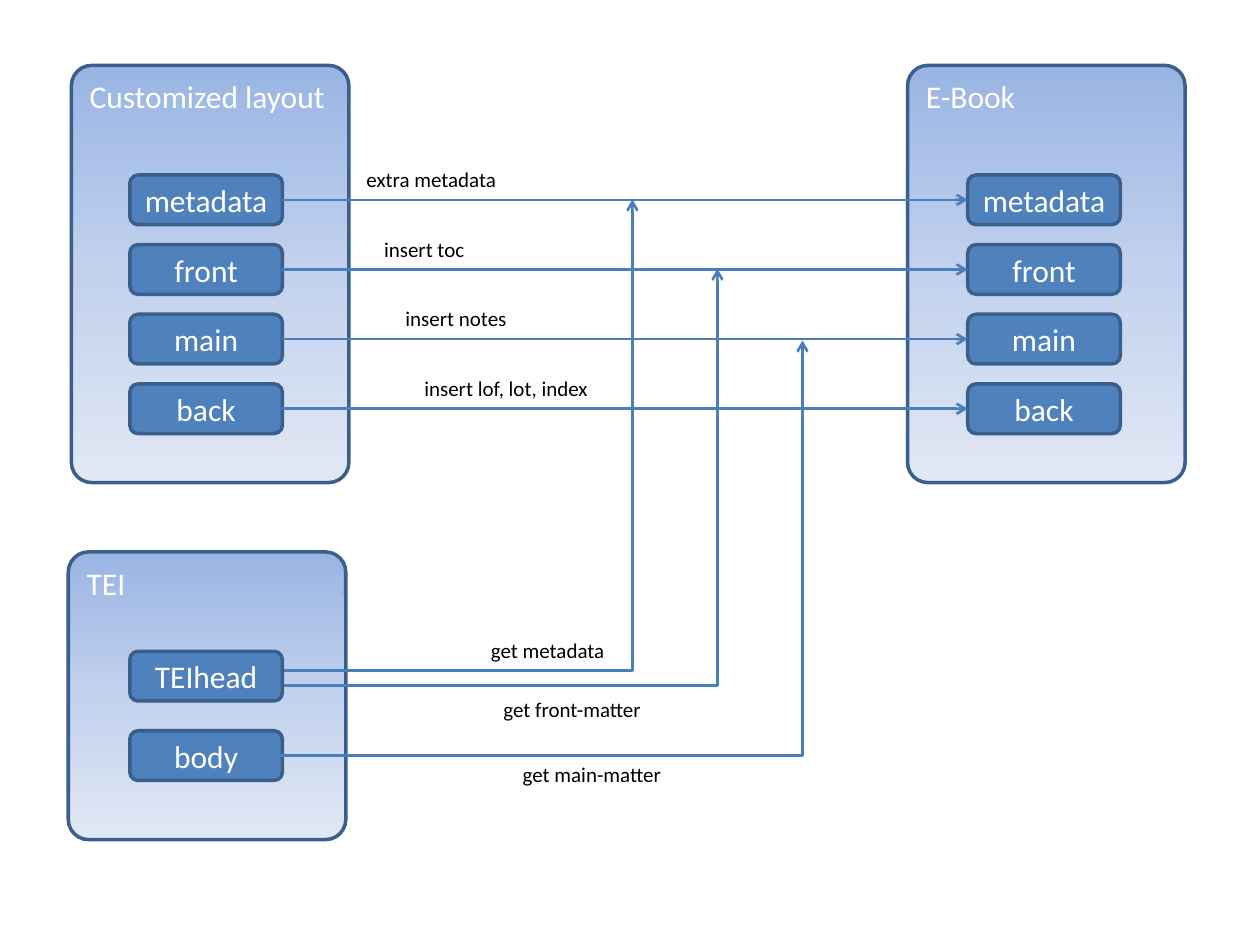
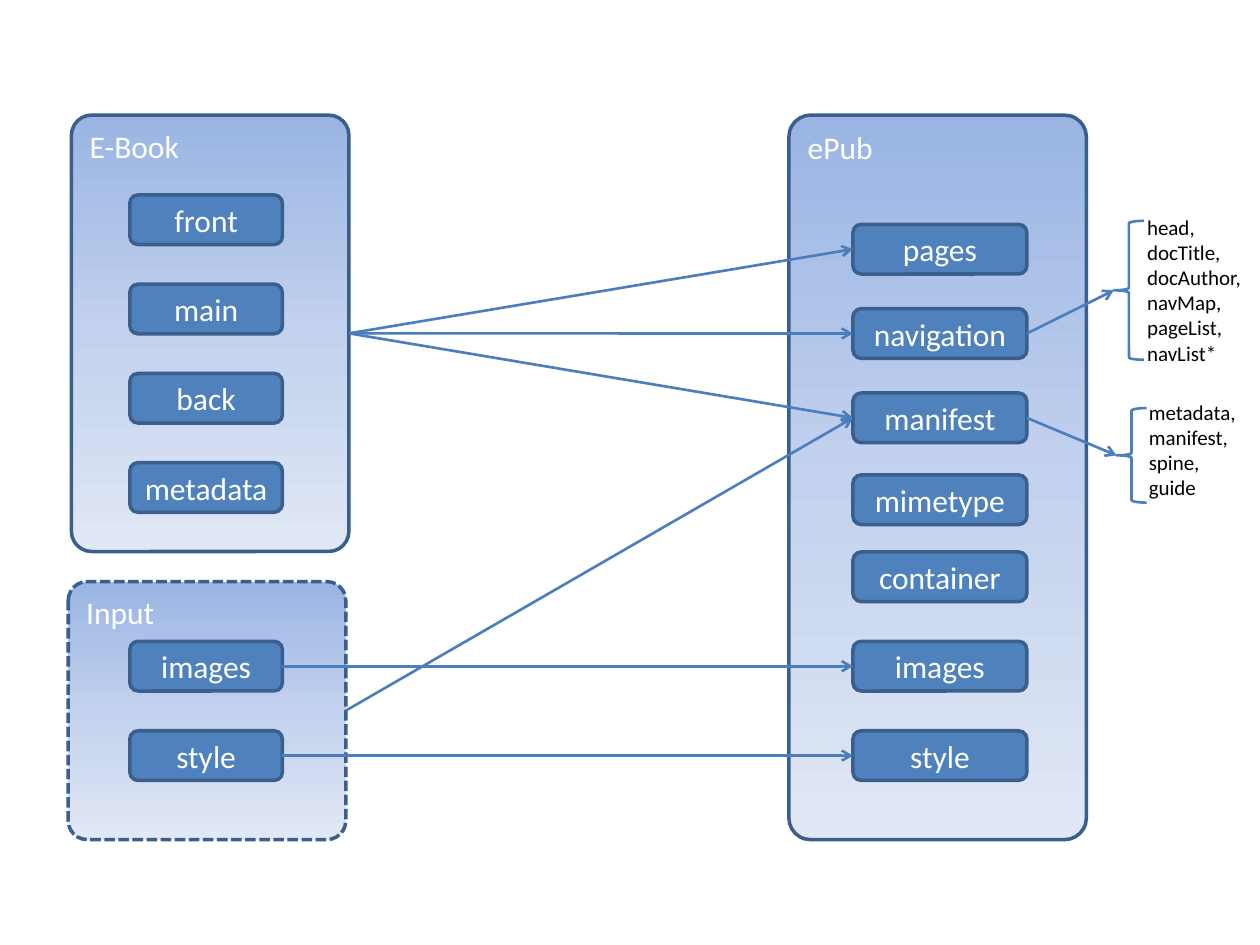
import copy

import pptx
import pptx.dml.color
import pptx.enum.dml
import pptx.enum.shapes
import pptx.enum.text
import pptx.oxml
import pptx.oxml.ns
import pptx.util

Pt = pptx.util.Pt
qn = pptx.oxml.ns.qn
SHAPE = pptx.enum.shapes.MSO_SHAPE
CONNECTOR = pptx.enum.shapes.MSO_CONNECTOR
ALIGN = pptx.enum.text.PP_ALIGN
ANCHOR = pptx.enum.text.MSO_ANCHOR

COLORS = {
    "box": "4F81BD", "border": "3A5F8C", "arrow": "4B7EBC",
    "white": "FFFFFF", "black": "000000",
}
PANEL_STOPS = [(0, "9AB5E4"), (0.5, "C2D1ED"), (1, "E1E8F5")]
LEFT, RIGHT = 1, 3  # connection sites of a rounded rectangle
BOX_H = 28.4
LEFT_BOX = (74.2, 87.2)  # left, width
EBOOK_BOX = (553, 87.2)
EPUB_BOX = (487.4, 99.4)


def rgb(value):
    return pptx.dml.color.RGBColor.from_string(value)


class Diagram:
    FONT = "Calibri"

    def __init__(self):
        self.prs = pptx.Presentation()
        self.prs.slide_width, self.prs.slide_height = Pt(720), Pt(540)

    def new_slide(self):
        self.shapes = self.prs.slides.add_slide(self.prs.slide_layouts[6]).shapes

    def stroke(self, line, color, width):
        line.color.rgb = rgb(COLORS[color])
        line.width = Pt(width)

    def set_text(self, sp, lines, size, color, align=ALIGN.LEFT, **frame):
        tf = sp.text_frame
        for name, value in frame.items():
            setattr(tf, name, value)
        tf.text = "\n".join(lines)
        for p in tf.paragraphs:
            p.alignment = align
            for r in p.runs:
                for name, value in {"name": self.FONT, "size": Pt(size)}.items():
                    setattr(r.font, name, value)
                r.font.color.rgb = rgb(COLORS[color])

    def shape(self, kind, x, y, w, h):
        sp = self.shapes.add_shape(kind, Pt(x), Pt(y), Pt(w), Pt(h))
        sp.shadow.inherit = False
        return sp

    def panel(self, title, x, y, w, h, dashed=False):
        sp = self.shape(SHAPE.ROUNDED_RECTANGLE, x, y, w, h)
        sp.adjustments[0] = 0.073
        sp.fill.gradient()
        sp.fill.gradient_angle = 270
        stops = sp._element.spPr.find(".//" + qn("a:gsLst"))
        stops.append(copy.deepcopy(stops[0]))
        for stop, (position, color) in zip(sp.fill.gradient_stops, PANEL_STOPS):
            stop.position = position
            stop.color.rgb = rgb(color)
        self.stroke(sp.line, "border", 2)
        if dashed:
            sp.line.dash_style = pptx.enum.dml.MSO_LINE.SQUARE_DOT
        self.set_text(sp, [title], 18, "white", vertical_anchor=ANCHOR.TOP)
        return sp

    def box(self, text, column, y):
        x, w = column
        sp = self.shape(SHAPE.ROUNDED_RECTANGLE, x, y, w, BOX_H)
        sp.fill.solid()
        sp.fill.fore_color.rgb = rgb(COLORS["box"])
        self.stroke(sp.line, "border", 2)
        self.set_text(sp, [text], 18, "white", ALIGN.CENTER, word_wrap=False,
                      vertical_anchor=ANCHOR.MIDDLE)
        return sp

    def boxes(self, rows, column):
        """Draw a column of boxes from {text: top} and return them by text."""
        return {text: self.box(text, column, y) for text, y in rows.items()}

    def label(self, lines, x, y, w, h=21.8):
        sp = self.shapes.add_textbox(Pt(x), Pt(y), Pt(w), Pt(h))
        self.set_text(sp, lines, 12, "black", word_wrap=False,
                      auto_size=pptx.enum.text.MSO_AUTO_SIZE.SHAPE_TO_FIT_TEXT)

    def brace(self, x, y, w, h):
        sp = self.shape(SHAPE.LEFT_BRACE, x, y, w, h)
        sp.fill.background()
        self.stroke(sp.line, "arrow", 1.5)
        return sp

    def arrow(self, kind, x1=0, y1=0, x2=0, y2=0):
        cxn = self.shapes.add_connector(kind, Pt(x1), Pt(y1), Pt(x2), Pt(y2))
        self.stroke(cxn.line, "arrow", 1.5)
        spPr = cxn._element.spPr
        ns = pptx.oxml.ns.nsdecls("a")
        spPr.find(qn("a:ln")).append(
            pptx.oxml.parse_xml(f'<a:tailEnd {ns} type="arrow"/>'))
        spPr.append(pptx.oxml.parse_xml(f"<a:effectLst {ns}/>"))
        return cxn

    def link(self, source, target):
        cxn = self.arrow(CONNECTOR.STRAIGHT)
        cxn.begin_connect(source, RIGHT)
        cxn.end_connect(target, LEFT)

    def corner(self, x1, y1, x2, y2):
        """Arrow that runs right, then turns once and runs up."""
        cxn = self.arrow(CONNECTOR.ELBOW, x1, y1, x2, y2)
        cxn._element.spPr.find(qn("a:prstGeom")).set("prst", "bentConnector2")


def layout_to_ebook(d):
    d.new_slide()
    d.panel("TEI", 39, 315.4, 158.6, 164.4)
    d.panel("Customized layout", 40.8, 37.4, 158.6, 238.4)
    d.panel("E-Book", 518.6, 37.4, 158.6, 238.4)

    rows = {text: 100 + 39.8 * i
            for i, text in enumerate(["metadata", "front", "main", "back"])}
    sources = d.boxes(rows, LEFT_BOX)
    targets = d.boxes(rows, EBOOK_BOX)
    inserts = {
        "metadata": ("extra metadata", 202.3, 89.3),
        "front": ("insert toc", 212.4, 61.9),
        "main": ("insert notes", 224.6, 73.4),
        "back": ("insert lof, lot, index", 235.4, 109.4),
    }
    for name, (text, x, w) in inserts.items():
        d.link(sources[name], targets[name])
        d.label([text], x, rows[name] - 8.4, w)

    d.box("body", LEFT_BOX, 417.6)
    d.corner(161.4, 383.2, 361.4, 114)
    d.corner(156.2, 391.7, 410, 153.6)
    d.corner(156.2, 431.6, 458.6, 194.6)
    d.box("TEIhead", LEFT_BOX, 372.2)
    d.label(["get metadata"], 273.4, 360.7, 80.6)
    d.label(["get front-matter"], 280.6, 394.6, 96.5)
    d.label(["get main-matter"], 291.6, 431.6, 96.5)


def ebook_to_epub(d):
    d.new_slide()
    inputs = d.panel("Input", 39, 332.4, 158.6, 147.4, dashed=True)
    ebook = d.panel("E-Book", 40.8, 65.8, 158.6, 249.4)
    d.panel("ePub", 450.8, 65.8, 170, 414)

    d.boxes({text: 111.4 + 51 * i for i, text in
             enumerate(["front", "main", "back", "metadata"])}, LEFT_BOX)
    assets = {"images": 366.5, "style": 417.6}
    sources = d.boxes(assets, LEFT_BOX)
    targets = d.boxes({"pages": 128.2, "navigation": 176.4, "manifest": 224.6,
                       "mimetype": 271.4, "container": 315.4, **assets}, EPUB_BOX)

    for name in ["pages", "navigation", "manifest"]:
        d.link(ebook, targets[name])
    for name in assets:
        d.link(sources[name], targets[name])
    d.link(inputs, targets["manifest"])

    navigation = ["head,", "docTitle,", "docAuthor,", "navMap,", "pageList,", "navList*"]
    d.label(navigation, 648.4, 118.8, 69.1, 94.3)
    d.link(targets["navigation"], d.brace(636.5, 126.2, 17.2, 79.4))
    d.label(["metadata,", "manifest,", "spine,", "guide"], 649.4, 224.6, 64.8, 65.5)
    d.link(targets["manifest"], d.brace(638, 233.2, 17.2, 54))


def main():
    d = Diagram()
    layout_to_ebook(d)
    ebook_to_epub(d)
    d.prs.save("out.pptx")


if __name__ == "__main__":
    main()
